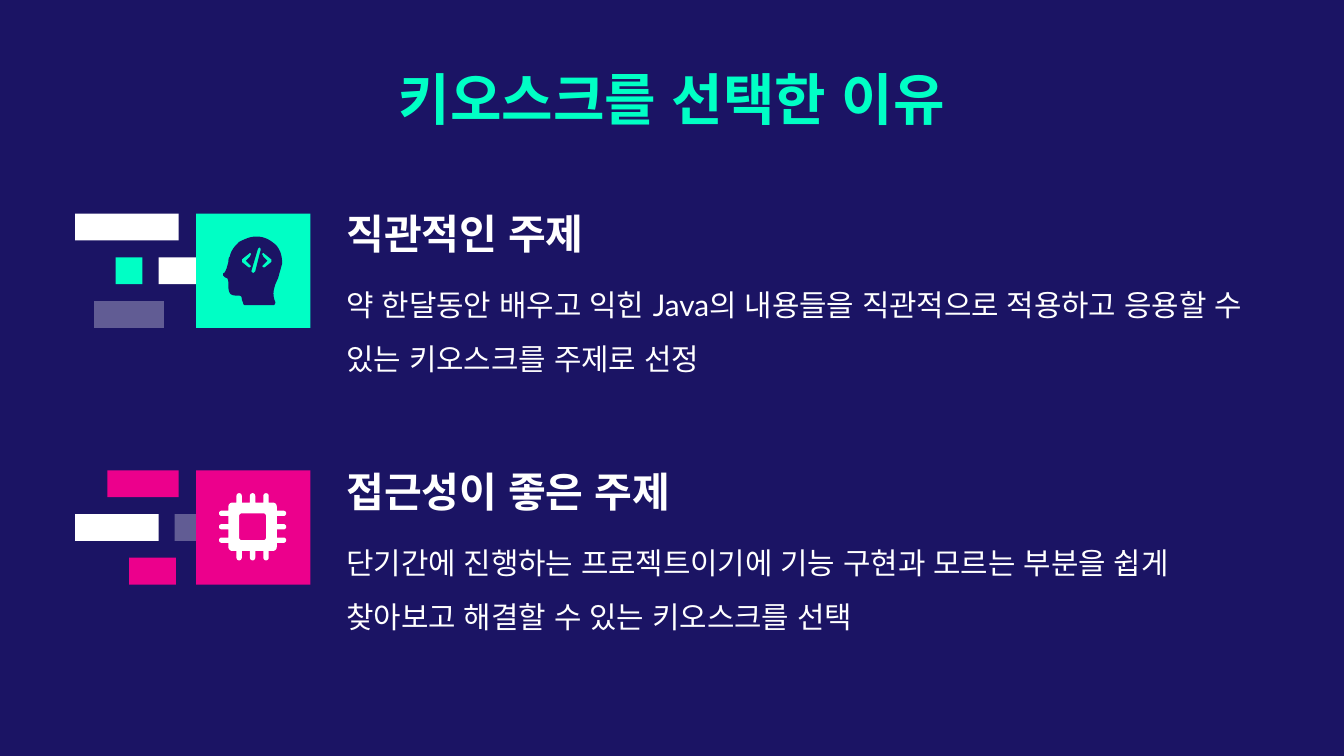
from dataclasses import dataclass
from math import cos, radians, sin

from lxml.etree import SubElement
from pptx import Presentation
from pptx.dml.color import RGBColor
from pptx.enum.shapes import MSO_SHAPE as Preset
from pptx.enum.text import MSO_ANCHOR as Anchor, PP_ALIGN as Align
from pptx.oxml.ns import qn
from pptx.util import Inches, Pt


@dataclass(frozen=True)
class Theme:
    navy: str = "1B1464"
    mint: str = "00FFC5"
    pink: str = "EC008C"
    white: str = "FFFFFF"
    faint: int = 31  # opacity of the pale bars, percent
    heading_font: str = "DejaVu Sans Mono"
    body_font: str = "Lato"
    east_asian_font: str = "Arial"  # sets the width of spaces between Korean words
    title_size: int = 30
    heading_size: int = 22
    body_size: int = 16


THEME = Theme()
BAR_HEIGHT = 0.2
TILE_LEFT, TILE_SIZE = 1.46, 0.85
TEXT_LEFT = 2.48

# Head outline: pairs are line ends, sixes are Bezier curves
HEAD = [
    (1.91, 1.76),
    (1.86, 1.76, 1.82, 1.78, 1.78, 1.8), (1.75, 1.83, 1.72, 1.86, 1.71, 1.91),
    (1.7, 1.92, 1.7, 1.94, 1.7, 1.95), (1.69, 1.98, 1.69, 2, 1.67, 2.03),
    (1.66, 2.03, 1.66, 2.04, 1.66, 2.05), (1.67, 2.06, 1.68, 2.07, 1.69, 2.07),
    (1.7, 2.08, 1.7, 2.1, 1.7, 2.12), (1.7, 2.14, 1.7, 2.16, 1.71, 2.18),
    (1.72, 2.2, 1.75, 2.2, 1.77, 2.2), (1.79, 2.2, 1.8, 2.2, 1.8, 2.23),
    (1.81, 2.25, 1.81, 2.27, 1.82, 2.27), (2.04, 2.27),
    (2.04, 2.27, 2.05, 2.26, 2.05, 2.25), (2.02, 2.19, 2.04, 2.13, 2.07, 2.07),
    (2.08, 2.03, 2.09, 2, 2.1, 1.96), (2.1, 1.91, 2.09, 1.87, 2.06, 1.83),
    (2.02, 1.79, 1.97, 1.76, 1.91, 1.76),
]
CHEVRON = [(1.86, 1.88), (1.87, 1.89), (1.86, 1.91), (1.83, 1.94), (1.86, 1.97),
           (1.87, 1.98), (1.86, 1.99), (1.85, 1.99), (1.8, 1.95), (1.8, 1.93),
           (1.85, 1.89)]
SLASH = [(1.93, 1.84), (1.94, 1.85), (1.94, 1.86), (1.9, 2.02), (1.89, 2.03),
         (1.88, 2.03), (1.87, 2.02), (1.92, 1.85)]


def paint(shape, color, opacity=100):
    shape.shadow.inherit = False
    shape.fill.solid()
    shape.fill.fore_color.rgb = RGBColor.from_string(color)
    shape.line.fill.background()
    if opacity < 100:
        srgb = shape._element.spPr.find(f".//{qn('a:srgbClr')}")
        SubElement(srgb, qn("a:alpha")).set("val", str(opacity * 1000))


def add_rectangle(shapes, left, top, width, height, color, opacity=100):
    box = [Inches(value) for value in (left, top, width, height)]
    paint(shapes.add_shape(Preset.RECTANGLE, *box), color, opacity)


def add_outline(shapes, contours, color):
    """Draw closed contours as one shape; inner contours are holes."""
    contours = [[(Inches(x), Inches(y)) for x, y in points] for points in contours]
    builder = shapes.build_freeform(*contours[0][0], scale=1.0)
    for index, points in enumerate(contours):
        if index:
            builder.move_to(*points[0])
        builder.add_line_segments(points[1:], close=True)
    paint(builder.convert_to_shape(), color)


def add_text(slide, text, box, size, font_name, color=THEME.white, bold=False,
             anchor=Anchor.TOP, align=Align.LEFT, top_inset=0, bottom_inset=0,
             line_spacing=1.0):
    shape = slide.shapes.add_textbox(*[Inches(value) for value in box])
    frame = shape.text_frame
    paragraph = frame.paragraphs[0]
    paragraph.text = text
    formats = {
        frame: {"word_wrap": True, "vertical_anchor": anchor,
                "margin_left": Inches(0.1), "margin_right": Inches(0.1),
                "margin_top": Inches(top_inset),
                "margin_bottom": Inches(bottom_inset)},
        paragraph: {"alignment": align, "line_spacing": line_spacing},
    }
    run = paragraph.runs[0]
    font = run.font
    formats[font] = {"name": font_name, "size": Pt(size), "bold": bold}
    for target, values in formats.items():
        for name, value in values.items():
            setattr(target, name, value)
    font.color.rgb = RGBColor.from_string(color)
    properties = run._r.get_or_add_rPr()
    SubElement(properties, qn("a:ea")).set("typeface", THEME.east_asian_font)


def flatten(segments, steps=8):
    """Turn lines and Bezier curves into a list of points."""
    points = [segments[0]]
    for segment in segments[1:]:
        if len(segment) == 2:
            points.append(segment)
            continue
        controls = [points[-1], segment[:2], segment[2:4], segment[4:]]
        for step in range(1, steps + 1):
            t = step / steps
            weights = ((1 - t) ** 3, 3 * t * (1 - t) ** 2, 3 * t * t * (1 - t), t ** 3)
            points.append(tuple(sum(w * point[axis] for w, point in zip(weights, controls))
                                for axis in (0, 1)))
    return points


def arc(x, y, radius, start, end, steps=8):
    angles = [radians(start + (end - start) * i / steps) for i in range(steps + 1)]
    return [(x + radius * cos(a), y + radius * sin(a)) for a in angles]


def four_sides(side, x, y):
    """Repeat the top side at each quarter turn around a centre."""
    points = []
    for _ in range(4):
        points += [(x + px, y + py) for px, py in side]
        side = [(-py, px) for px, py in side]
    return points


def add_head_icon(shapes):
    mirrored = [(2 * 1.91 - x, y) for x, y in CHEVRON]
    add_outline(shapes, [flatten(HEAD), CHEVRON, mirrored, SLASH], THEME.navy)


def add_chip_icon(shapes):
    edge, pin, corner = 0.18, 0.02, 0.03
    side = []
    for x in (-0.1, 0, 0.1):
        side += [(x - pin, -edge), *arc(x, -0.23, pin, 180, 360), (x + pin, -edge)]
    side += arc(edge - corner, corner - edge, corner, 270, 360)
    core = arc(0.08, -0.08, 0.02, 270, 360)
    centre = (1.88, 3.92)
    add_outline(shapes, [four_sides(side, *centre), four_sides(core, *centre)], THEME.white)


def add_reason(slide, top, text_top, heading, body, tile_color, bars, add_icon):
    # Bars behind the tile, then the tile and its icon
    shapes = slide.shapes.add_group_shape().shapes
    row_gap = (TILE_SIZE - BAR_HEIGHT) / 2
    for row, left, width, color, opacity in bars:
        add_rectangle(shapes, left, top + row * row_gap, width, BAR_HEIGHT, color, opacity)
    add_rectangle(shapes, TILE_LEFT, top, TILE_SIZE, TILE_SIZE, tile_color)
    add_icon(shapes)

    # Heading and explanation
    add_text(slide, heading, (TEXT_LEFT, text_top, 4.42, 0.39), THEME.heading_size,
             THEME.heading_font, bold=True, anchor=Anchor.BOTTOM)
    add_text(slide, body, (TEXT_LEFT, text_top + 0.47, 6.96, 1.1), THEME.body_size,
             THEME.body_font, bottom_inset=0.1, line_spacing=1.5)


def main():
    presentation = Presentation()
    presentation.slide_width = Inches(10)
    presentation.slide_height = Inches(10) * 9 // 16
    slide = presentation.slides.add_slide(presentation.slide_layouts[6])
    slide.background.fill.solid()
    slide.background.fill.fore_color.rgb = RGBColor.from_string(THEME.navy)

    # Title
    add_text(slide, "키오스크를 선택한 이유", (1.4, 0.38, 7.2, 0.73), THEME.title_size,
             THEME.heading_font, THEME.mint, bold=True, align=Align.CENTER,
             top_inset=0.1, bottom_inset=0.1)

    # Reasons; bars are row, left, width, colour, opacity
    add_reason(slide, 1.59, 1.53, "직관적인 주제",
               "약 한달동안 배우고 익힌 Java의 내용들을 직관적으로 적용하고 응용할 "
               "수 있는 키오스크를 주제로 선정", THEME.mint,
               [(0, 0.56, 0.77, THEME.white, 100), (1, 0.86, 0.2, THEME.mint, 100),
                (1, 1.18, 0.35, THEME.white, 100), (2, 0.7, 0.52, THEME.white, THEME.faint)],
               add_head_icon)
    add_reason(slide, 3.5, 3.45, "접근성이 좋은 주제",
               "단기간에 진행하는 프로젝트이기에 기능 구현과 모르는 부분을 쉽게 "
               "찾아보고 해결할 수 있는 키오스크를 선택", THEME.pink,
               [(0, 0.8, 0.53, THEME.pink, 100), (1, 0.56, 0.62, THEME.white, 100),
                (1, 1.3, 0.24, THEME.white, THEME.faint), (2, 0.96, 0.35, THEME.pink, 100)],
               add_chip_icon)

    presentation.save("out.pptx")


if __name__ == "__main__":
    main()
